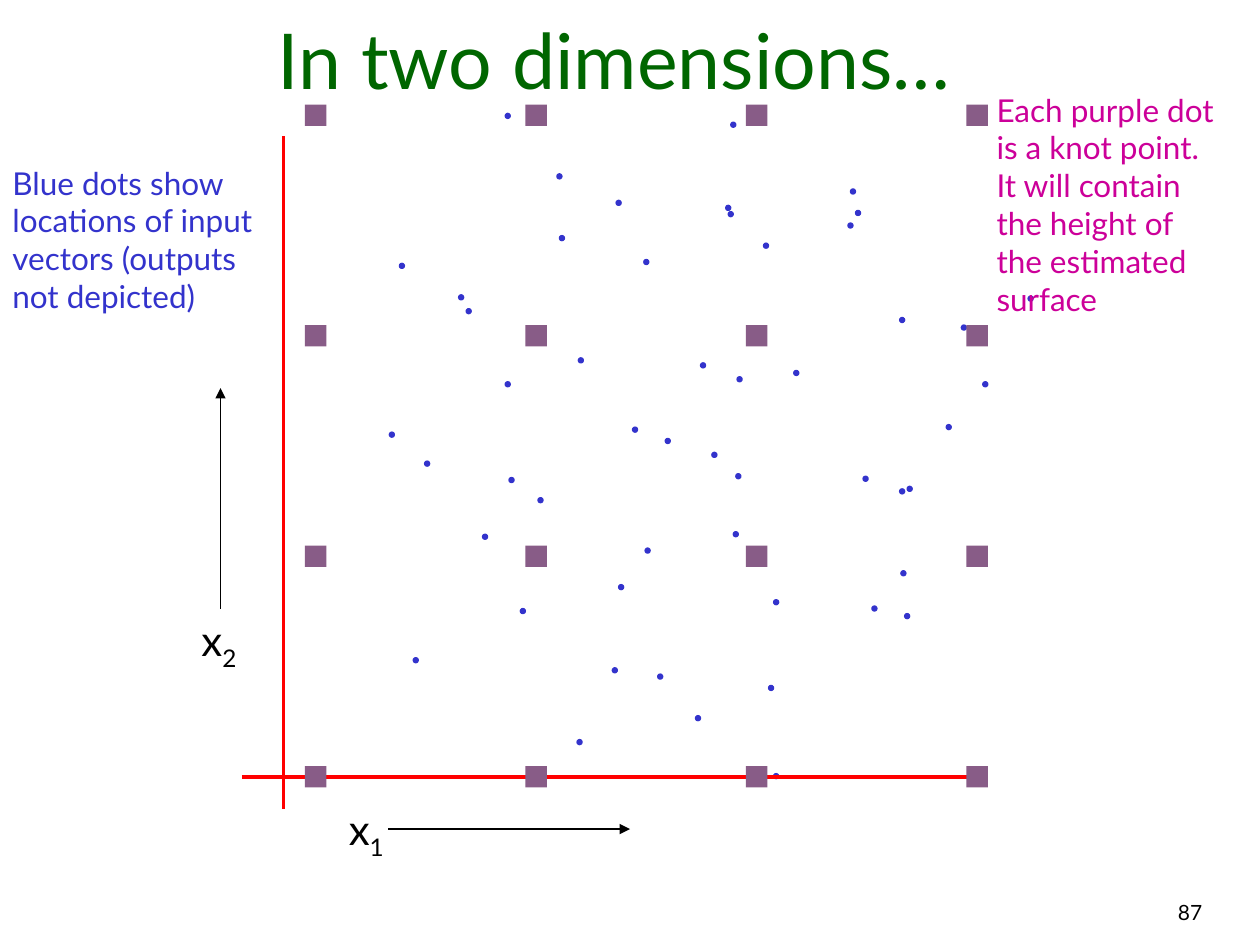
from lxml import etree
from pptx import Presentation
from pptx import util as u
from pptx.dml.color import RGBColor
from pptx.enum import shapes, text
from pptx.oxml.ns import qn

BLACK = RGBColor(0, 0, 0)
GREEN = RGBColor(0, 0x66, 0)
RED = RGBColor(0xFF, 0, 0)
BLUE = RGBColor(0x33, 0x33, 0xCC)
PINK = RGBColor(0xCC, 0, 0x99)
PURPLE = RGBColor(0x88, 0x5C, 0x87)
FONT = "Lato"
LEFT, MID, RIGHT = text.PP_ALIGN.LEFT, text.PP_ALIGN.CENTER, text.PP_ALIGN.RIGHT

# All places below are in inches: left, top, width, height
TITLE = ("In two dimensions…", (0.25, 0.17, 9.25, 0.71))
PAGE = ("87", (5.72, 7.09, 3.92, 0.33))
INPUTS = ("Blue dots show locations of input vectors (outputs not depicted)",
          (0, 1.25, 2.33, 1.3))
KNOTS = ("Each purple dot is a knot point. It will contain the height of the "
         "estimated surface", (7.5, 0.67, 2.33, 2.2))
LABELS = [("1", (2.67, 6.33, 0.5, 0.56)), ("2", (1.5, 4.83, 0.5, 0.56))]
ARROWS = [(3.08, 6.58, 5, 6.58), (1.75, 4.83, 1.75, 3.08)]
UP_AXIS = (2.25, 1.08, 2.25, 6.42)
FLAT_AXIS = (1.92, 6.17, 7.75, 6.17)

KNOT, STEP, COUNT = 0.17, 1.75, 4
KNOT_LEFT, KNOT_TOP = 2.42, 0.83
DOT = 0.04
DOTS = [
    (4.27, 3.95), (7.8, 3.03), (5.02, 3.39), (4.86, 5.3), (6.14, 4.76),
    (3.09, 3.43), (5.76, 1.63), (5.85, 2.99), (4.42, 1.38), (3.28, 5.22),
    (3.64, 2.34), (6.85, 3.78), (6.73, 1.77), (5.12, 4.35), (8.16, 2.35),
    (5.65, 3.59), (6.1, 5.44), (7.15, 4.53), (3.83, 4.24), (5.78, 1.68),
    (6.3, 2.94), (4.44, 1.87), (4.58, 5.87), (4.01, 3.03), (7.51, 3.37),
    (6.75, 1.5), (5.11, 2.06), (5.52, 5.68), (5.56, 2.88), (3.7, 2.45),
    (4.04, 3.79), (5.8, 0.97), (7.2, 3.86), (5.84, 3.76), (7.63, 2.58),
    (4.01, 0.9), (6.79, 1.67), (4.91, 4.64), (6.92, 4.81), (4.59, 2.84),
    (6.14, 6.14), (5.28, 3.48), (3.37, 3.66), (4.13, 4.83), (4.89, 1.59),
    (7.14, 3.88), (5.82, 4.22), (7.14, 2.52), (3.17, 2.09), (6.06, 1.93),
    (5.22, 5.35), (7.18, 4.87),
]


def scale(place):
    """Turn inches into Cm lengths."""
    return [u.Cm(2.54 * n) for n in place]


def write(slide, words, place, size, color, align=LEFT):
    """Add a wrapped text box and return its paragraph."""
    frame = slide.shapes.add_textbox(*scale(place)).text_frame
    frame.word_wrap = True
    para = frame.paragraphs[0]
    para.text = words
    para.alignment = align
    font = para.font
    font.name, font.size, font.color.rgb = FONT, u.Pt(size), color
    return para


def rule(slide, ends, color, width, arrow=False):
    line = slide.shapes.add_connector(shapes.MSO_CONNECTOR.STRAIGHT, *scale(ends))
    line.line.color.rgb = color
    line.line.width = u.Pt(width)
    props = line._element.spPr
    if arrow:
        etree.SubElement(props.find(qn("a:ln")), qn("a:tailEnd"), type="triangle")
    etree.SubElement(props, qn("a:effectLst"))


def mark(group, kind, left, top, side, color):
    shape = group.shapes.add_shape(kind, *scale((left, top, side, side)))
    shape.shadow.inherit = False
    shape.fill.solid()
    shape.fill.fore_color.rgb = color
    shape.line.fill.background()
    return shape


def main():
    deck = Presentation()
    deck.slide_width, deck.slide_height = scale((10, 7.5))
    slide = deck.slides.add_slide(deck.slide_layouts[6])

    write(slide, *PAGE, 12, BLACK, RIGHT)
    title = write(slide, *TITLE, 44, GREEN, MID)
    title._parent.vertical_anchor = text.MSO_ANCHOR.BOTTOM

    rule(slide, UP_AXIS, RED, 2.25)
    for sub, place in LABELS:
        run = write(slide, "x", place, 24, BLACK).add_run()
        run.text = sub
        run._r.get_or_add_rPr().set("baseline", "-25000")
    for ends in ARROWS:
        rule(slide, ends, BLACK, 1, arrow=True)

    cloud = slide.shapes.add_group_shape()
    for left, top in DOTS:
        dot = mark(cloud, shapes.MSO_SHAPE.OVAL, left, top, DOT, BLUE)
        dot.line.color.rgb = BLUE
        dot.line.width = u.Pt(0.75)

    write(slide, *INPUTS, 18, BLUE)
    rule(slide, FLAT_AXIS, RED, 2.25)
    for row in range(COUNT):
        group = slide.shapes.add_group_shape()
        for col in range(COUNT):
            mark(group, shapes.MSO_SHAPE.RECTANGLE, KNOT_LEFT + col * STEP,
                 KNOT_TOP + row * STEP, KNOT, PURPLE)

    note = write(slide, *KNOTS, 18, PINK)
    props = note._p.get_or_add_pPr()
    props.set("marL", str(u.Cm(0.79)))
    props.set("indent", "0")

    deck.save("out.pptx")


if __name__ == "__main__":
    main()
